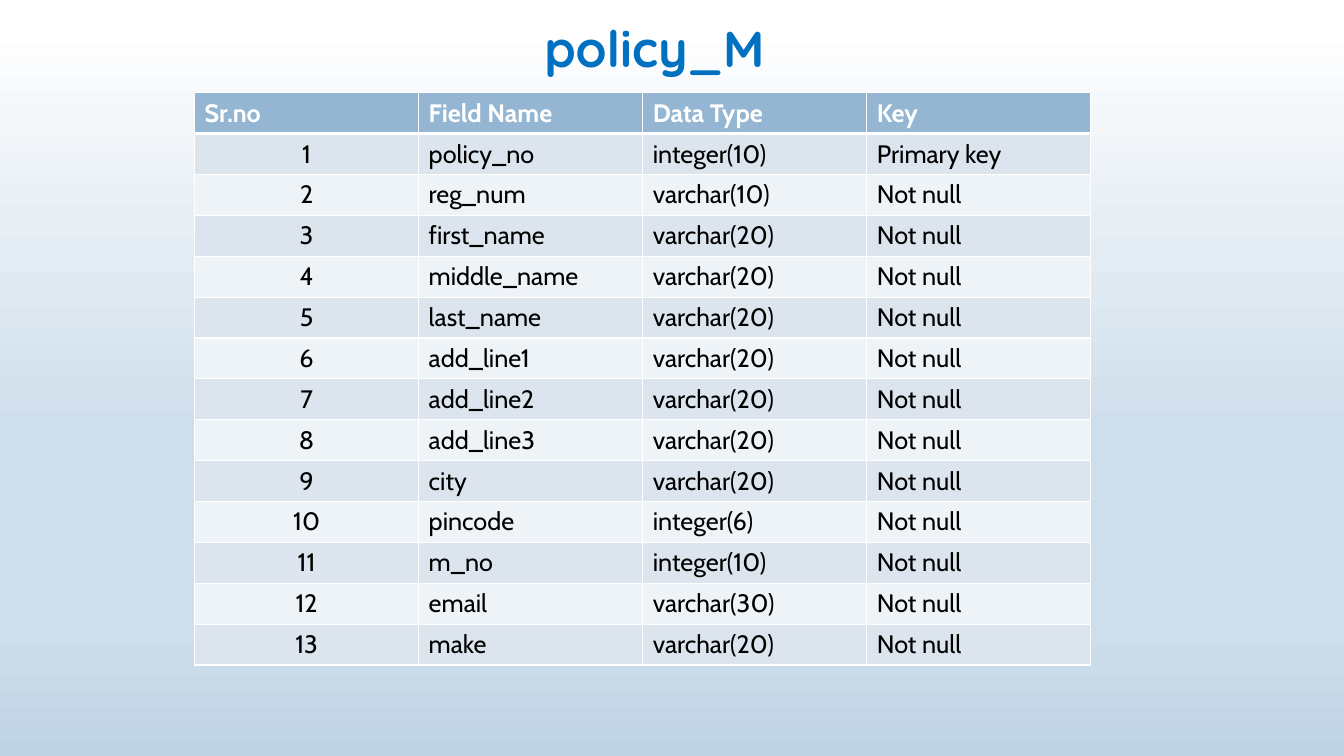
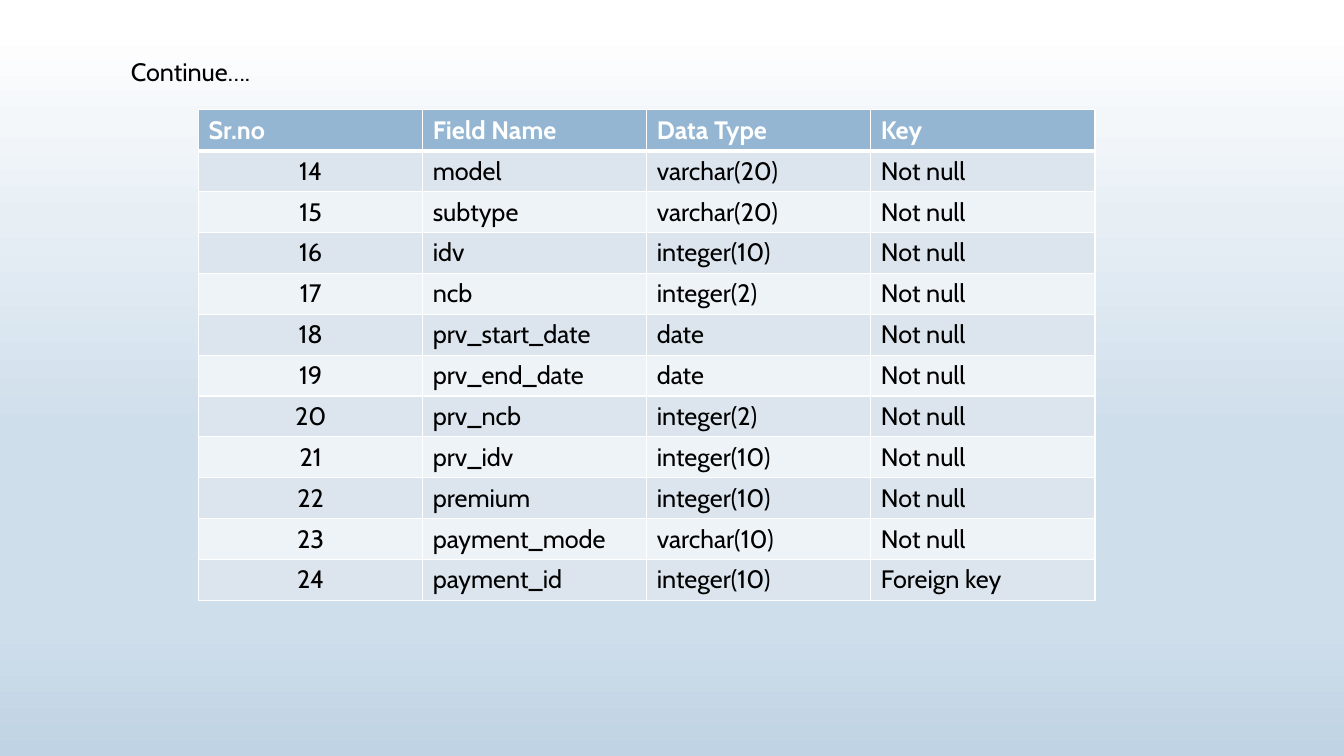
from dataclasses import dataclass

from lxml import etree
from pptx import Presentation
from pptx.dml.color import RGBColor
from pptx.enum import text
from pptx.oxml import ns
from pptx.util import Inches, Pt


@dataclass(frozen=True)
class Theme:
    title_font: str = "Quicksand"
    body_font: str = "Cabin"
    title_size: int = 36
    body_size: int = 18
    title: str = "0070C0"
    ink: str = "000000"
    white: str = "FFFFFF"
    header: str = "94B6D2"
    bands: tuple = ("DCE5EE", "EEF3F7")
    sky: tuple = ((4, "FFFFFF"), (16, "F3F7FA"), (29, "E7EFF5"),
                  (57, "CFDEEB"), (83, "CFDEEB"), (100, "BFD3E4"))
    grid: int = 1
    header_rule: int = 3


theme = Theme()
HEADINGS = ("Sr.no", "Field Name", "Data Type", "Key")
CENTER = text.PP_ALIGN.CENTER

# Each slide: heading text, box, and style, then table box, first number and fields
pages = [
    dict(
        heading="policy_M", heading_box=(1.32, 0.12, 10.34, 0.71),
        style=(theme.title_font, theme.title_size, theme.title, True), align=CENTER,
        table_box=(1.93, 0.92, 8.89, 5.68), first=1,
        fields=[
            ("policy_no", "integer(10)", "Primary key"),
            ("reg_num", "varchar(10)", "Not null"),
            ("first_name", "varchar(20)", "Not null"),
            ("middle_name", "varchar(20)", "Not null"),
            ("last_name", "varchar(20)", "Not null"),
            ("add_line1", "varchar(20)", "Not null"),
            ("add_line2", "varchar(20)", "Not null"),
            ("add_line3", "varchar(20)", "Not null"),
            ("city", "varchar(20)", "Not null"),
            ("pincode", "integer(6)", "Not null"),
            ("m_no", "integer(10)", "Not null"),
            ("email", "varchar(30)", "Not null"),
            ("make", "varchar(20)", "Not null"),
        ],
    ),
    dict(
        heading="Continue….", heading_box=(1.2, 0.51, 2.03, 0.4),
        style=(theme.body_font, theme.body_size, theme.ink, False), align=None,
        table_box=(1.97, 1.09, 8.89, 4.87), first=14,
        fields=[
            ("model", "varchar(20)", "Not null"),
            ("subtype", "varchar(20)", "Not null"),
            ("idv", "integer(10)", "Not null"),
            ("ncb", "integer(2)", "Not null"),
            ("prv_start_date", "date", "Not null"),
            ("prv_end_date", "date", "Not null"),
            ("prv_ncb", "integer(2)", "Not null"),
            ("prv_idv", "integer(10)", "Not null"),
            ("premium", "integer(10)", "Not null"),
            ("payment_mode", "varchar(10)", "Not null"),
            ("payment_id", "integer(10)", "Foreign key"),
        ],
    ),
]


def write(frame, words, font, size, color, bold, align=None):
    paragraph = frame.paragraphs[0]
    paragraph.alignment = align
    run = paragraph.add_run()
    run.text = words
    run.font.name = font
    run.font.size = Pt(size)
    run.font.bold = bold
    run.font.color.rgb = RGBColor.from_string(color)


def add_border(cell, side, points):
    """Draw one white edge; call for L, R, T, B in that order, before the fill."""
    edge = etree.SubElement(cell._tc.get_or_add_tcPr(), ns.qn(f"a:ln{side}"),
                            w=str(Pt(points)))
    fill = etree.SubElement(edge, ns.qn("a:solidFill"))
    etree.SubElement(fill, ns.qn("a:srgbClr"), val=theme.white)


prs = Presentation()
prs.slide_width, prs.slide_height = Inches(13.33), Inches(7.5)

# The shared sky gradient sits on the master
master = prs.slide_master
sky = master.background.fill
sky.gradient()
sky.gradient_angle = 270
stops = master.element.find(".//" + ns.qn("a:gsLst"))
for stop in list(stops):
    stops.remove(stop)
for percent, color in theme.sky:
    stop = etree.SubElement(stops, ns.qn("a:gs"), pos=str(percent * 1000))
    etree.SubElement(stop, ns.qn("a:srgbClr"), val=color)

for page in pages:
    slide = prs.slides.add_slide(prs.slide_layouts[6])

    heading = slide.shapes.add_textbox(*map(Inches, page["heading_box"])).text_frame
    heading.word_wrap = True
    heading.auto_size = text.MSO_AUTO_SIZE.SHAPE_TO_FIT_TEXT
    write(heading, page["heading"], *page["style"], page["align"])

    rows = [HEADINGS] + [(str(number), *field) for number, field
                         in enumerate(page["fields"], page["first"])]
    table = slide.shapes.add_table(len(rows), len(HEADINGS),
                                   *map(Inches, page["table_box"])).table
    for r, row in enumerate(rows):
        is_header = r == 0
        fill = theme.header if is_header else theme.bands[(r - 1) % 2]
        top = theme.header_rule if r == 1 else theme.grid
        bottom = theme.header_rule if is_header else theme.grid
        for c, words in enumerate(row):
            cell = table.cell(r, c)
            for side, points in zip("LRTB", (theme.grid, theme.grid, top, bottom)):
                add_border(cell, side, points)
            cell.fill.solid()
            cell.fill.fore_color.rgb = RGBColor.from_string(fill)
            write(cell.text_frame, words, theme.body_font, theme.body_size,
                  theme.white if is_header else theme.ink, is_header,
                  CENTER if c == 0 and not is_header else None)

prs.save("out.pptx")
